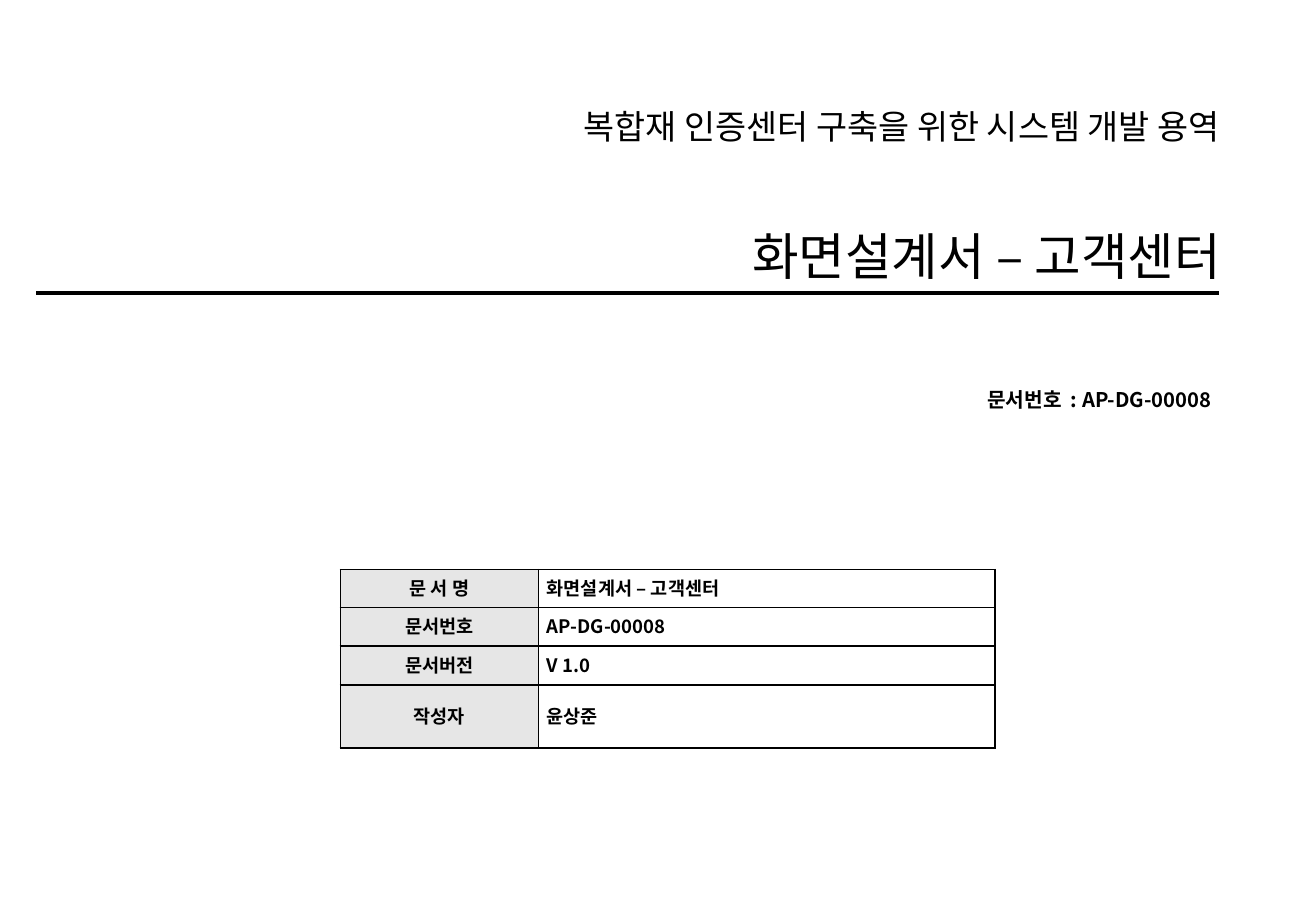
"""Build the cover slide of a screen design document."""
from lxml.etree import SubElement
from pptx import Presentation
from pptx.dml.color import RGBColor
from pptx.enum.shapes import MSO_CONNECTOR
from pptx.enum.text import MSO_ANCHOR, PP_ALIGN
from pptx.oxml import parse_xml
from pptx.oxml.ns import nsdecls, qn
from pptx.util import Inches, Pt

NAME = "화면설계서 – 고객센터"
CODE = "AP-DG-00008"
HEAD = ("복합재 인증센터 구축을 위한 시스템 개발 용역", (3.76, 0.82, 6.38, 0.44), "head")
TITLE = (NAME, (2.94, 1.8, 7.21, 0.6), "title")
LABEL = (f"문서번호  : {CODE}", (6.36, 3.14, 3.71, 0.3), "label")
ROWS = [("문 서 명", NAME), ("문서번호", CODE), ("문서버전", "V 1.0"), ("작성자", "윤상준")]
RULE = (0.3, 2.41, 10.03, 2.41)
SPOT = (2.8, 4.69)
COLS = (1.63, 3.76)
TALL = (0.31, 0.32, 0.32, 0.52)

THEME = {
    "ink": RGBColor(0, 0, 0),
    "shade": RGBColor(0xE6, 0xE6, 0xE6),
    "asian": "Noto Sans CJK KR",
    "head": {"name": "Arial", "size": Pt(20), "bold": False},
    "title": {"name": "Arial", "size": Pt(30), "bold": False},
    "label": {"name": "Noto Sans CJK KR", "size": Pt(12), "bold": True},
    "cell": {"name": "Noto Sans CJK KR", "size": Pt(11), "bold": True},
}


def assign(item, values):
    for key, value in values.items():
        setattr(item, key, value)


def write(frame, text, style, align):
    para = frame.paragraphs[0]
    para.alignment = align
    run = para.add_run()
    run.text = text
    assign(run.font, THEME[style])
    run.font.color.rgb = THEME["ink"]
    SubElement(run._r.get_or_add_rPr(), qn("a:ea"), typeface=THEME["asian"])
    return para


def place(shape, text, box, style):
    sides = ("left", "top", "width", "height")
    assign(shape, dict(zip(sides, map(Inches, box))))
    frame = shape.text_frame
    assign(frame, {
        "word_wrap": True, "vertical_anchor": MSO_ANCHOR.MIDDLE,
        "margin_left": Inches(0.1), "margin_right": Inches(0.1),
        "margin_top": Inches(0.05), "margin_bottom": Inches(0.05),
    })
    write(frame, text, style, PP_ALIGN.RIGHT)


def border(cell):
    props = cell._tc.get_or_add_tcPr()
    for side in "LRTB":
        props.append(parse_xml(
            f'<a:ln{side} {nsdecls("a")} w="{Pt(1)}"><a:solidFill>'
            f'<a:srgbClr val="{THEME["ink"]}"/></a:solidFill></a:ln{side}>'))


def fill(cell, text, first):
    assign(cell, {
        "margin_left": Inches(0.07), "margin_right": Inches(0.07),
        "margin_top": 0, "margin_bottom": 0,
        "vertical_anchor": MSO_ANCHOR.MIDDLE,
    })
    align = PP_ALIGN.CENTER if first else PP_ALIGN.JUSTIFY
    write(cell.text_frame, text, "cell", align).line_spacing = Pt(14)
    border(cell)
    if first:
        cell.fill.solid()
        cell.fill.fore_color.rgb = THEME["shade"]
    else:
        cell.fill.background()


deck = Presentation()
assign(deck, {"slide_width": Inches(10.83), "slide_height": Inches(7.5)})
slide = deck.slides.add_slide(deck.slide_layouts[5])
shapes = slide.shapes

rule = shapes.add_connector(MSO_CONNECTOR.STRAIGHT, *map(Inches, RULE))
rule.line.color.rgb = THEME["ink"]
rule.line.width = Pt(2.5)
SubElement(rule._element.spPr, qn("a:effectLst"))

place(shapes.title, *TITLE)
for text, box, style in (HEAD, LABEL):
    place(shapes.add_textbox(*map(Inches, box)), text, box, style)

size = (sum(COLS), sum(TALL))
table = shapes.add_table(len(ROWS), len(COLS), *map(Inches, SPOT + size)).table
assign(table, {"first_row": False, "horz_banding": False})
for col, width in zip(table.columns, COLS):
    col.width = Inches(width)
for row, height, texts in zip(table.rows, TALL, ROWS):
    row.height = Inches(height)
    for i, (cell, text) in enumerate(zip(row.cells, texts)):
        fill(cell, text, i == 0)

deck.save("out.pptx")
